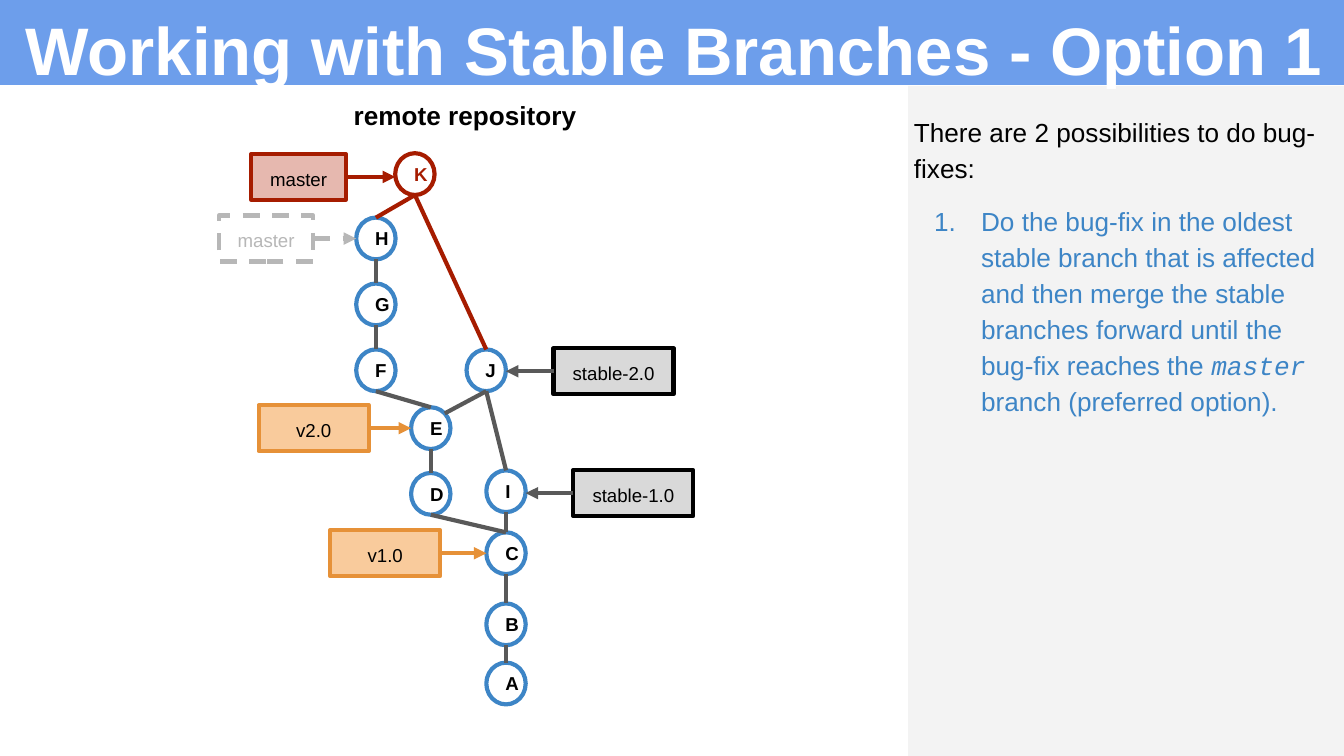
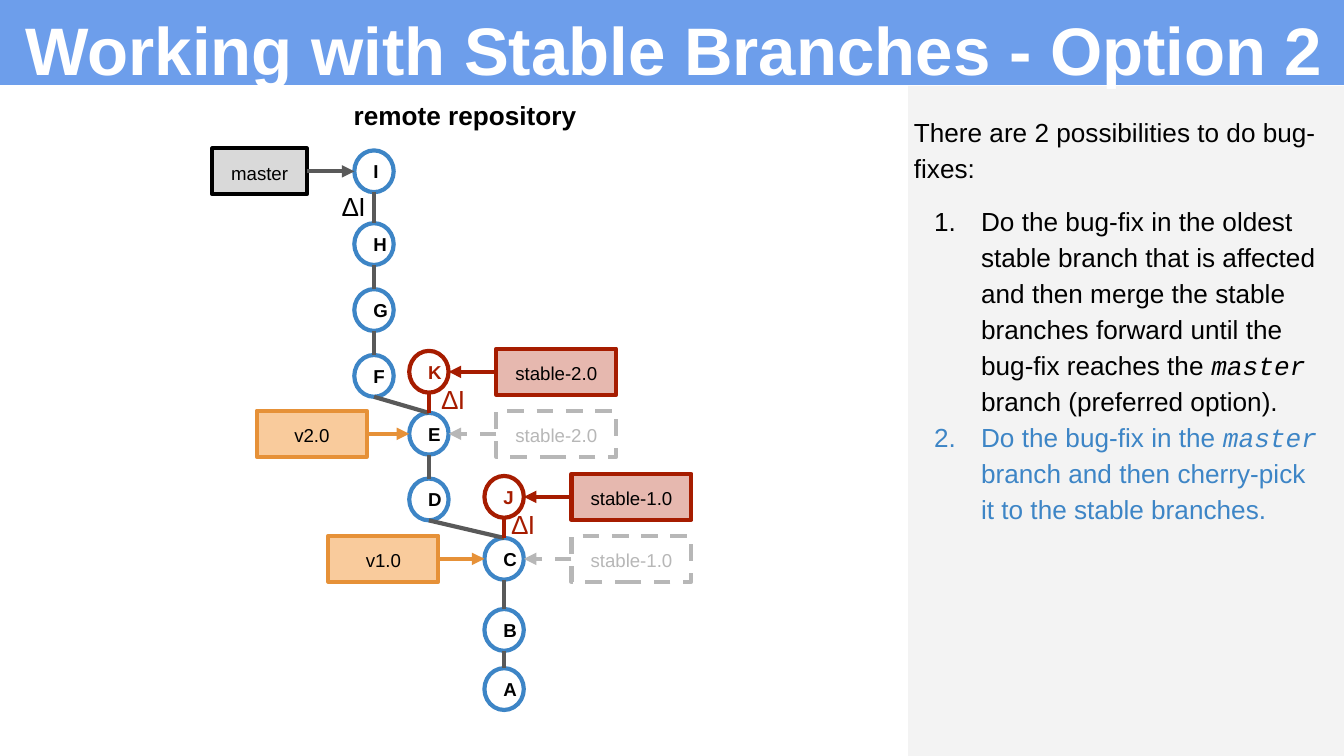
from dataclasses import dataclass
from math import sqrt

from lxml import etree
from pptx import Presentation
from pptx.dml.color import RGBColor
from pptx.enum.dml import MSO_LINE
from pptx.enum.shapes import MSO_CONNECTOR, MSO_SHAPE
from pptx.enum.text import MSO_ANCHOR, MSO_AUTO_SIZE, PP_ALIGN
from pptx.oxml.ns import qn
from pptx.util import Pt

RECTANGLE, OVAL = MSO_SHAPE.RECTANGLE, MSO_SHAPE.OVAL
STRAIGHT, DASH = MSO_CONNECTOR.STRAIGHT, MSO_LINE.DASH
TOP, MIDDLE, BOTTOM = MSO_ANCHOR.TOP, MSO_ANCHOR.MIDDLE, MSO_ANCHOR.BOTTOM
LEFT_ALIGN, CENTER = PP_ALIGN.LEFT, PP_ALIGN.CENTER
NO_FIT = MSO_AUTO_SIZE.NONE
TOP_SITE, LEFT_SITE, RIGHT_SITE = 0, 1, 3


@dataclass(frozen=True)
class Theme:
    font: str = "Arial"
    code_font: str = "Courier New"
    title_size: float = 36
    body_size: float = 14
    label_size: float = 10
    stroke: float = 2.25
    inset: float = 7.2
    line_spacing: float = 1.15
    space_before: float = 9
    band: str = "6D9EEB"
    panel: str = "F3F3F3"
    text: str = "000000"
    light: str = "FFFFFF"
    accent: str = "3D85C6"
    edge: str = "595959"
    change: str = "A61C00"


@dataclass(frozen=True)
class Box:
    left: float
    top: float
    width: float
    height: float


@dataclass(frozen=True)
class LabelStyle:
    fill: str | None
    line: str
    text: str
    arrow: str
    dashed: bool = False


@dataclass(frozen=True)
class Label:
    text: str
    node: str
    style: LabelStyle
    side: str
    width: float
    gap: float = 25.5
    drop: float = 0


THEME = Theme()
TAG = LabelStyle("F9CB9C", "E69138", THEME.text, "E69138")
BRANCH = LabelStyle("D9D9D9", "000000", THEME.text, THEME.edge)
MOVED = LabelStyle("E6B8AF", THEME.change, THEME.text, THEME.change)
FORMER = LabelStyle(None, "B7B7B7", "B7B7B7", "B7B7B7", True)

BAND = Box(0, 0, 720, 45.5)
PANEL = Box(486.5, 46, 233.5, 359)
GRAPH = Box(0, 46, 486.5, 359)
NODE_WIDTH, NODE_HEIGHT = 21.1, 22.4
LABEL_HEIGHT = 24.6
MAIN, MIDDLE_LINE, STABLE = 201.4, 230.8, 271.1
TAG_WIDTH, MASTER_WIDTH, STABLE_WIDTH = 59, 50.6, 64.3

TRUNK_NODES = {
    "A": (STABLE, 309), "B": (STABLE, 277.3), "C": (STABLE, 239.2),
    "D": (MIDDLE_LINE, 207.4), "E": (MIDDLE_LINE, 172.2),
    "F": (MAIN, 141.2), "G": (MAIN, 105.9), "H": (MAIN, 70.6),
}
TRUNK_EDGES = ["BA", "CB", "DC", "ED", "FE", "GF", "HG"]
TRUNK_LABELS = [
    Label("v1.0", "C", TAG, "left", TAG_WIDTH, 24.7),
    Label("v2.0", "E", TAG, "left", TAG_WIDTH, 22.7),
]

OLDEST_FIRST = [
    ("Do the bug-fix in the oldest stable branch that is affected and then merge "
     "the stable branches forward until the bug-fix reaches the ", False),
    ("master", True),
    (" branch (preferred option).", False),
]
CHERRY_PICK = [
    ("Do the bug-fix in the ", False),
    ("master", True),
    (" branch and then cherry-pick it to the stable branches.", False),
]


def rgb(value):
    return RGBColor.from_string(value)


def format_font(font, size, color, bold=False, name=THEME.font):
    font.name, font.size, font.bold = name, Pt(size), bold
    font.color.rgb = rgb(color)


def prepare_frame(text_frame, anchor):
    text_frame.word_wrap = True
    text_frame.auto_size = NO_FIT
    text_frame.vertical_anchor = anchor
    text_frame.margin_left = text_frame.margin_right = Pt(THEME.inset)
    text_frame.margin_top = text_frame.margin_bottom = Pt(THEME.inset)


def write(shape, text, size, color, bold=False, anchor=TOP, align=CENTER):
    prepare_frame(shape.text_frame, anchor)
    shape.text_frame.text = text
    paragraph = shape.text_frame.paragraphs[0]
    paragraph.alignment = align
    format_font(paragraph.runs[0].font, size, color, bold)


def place(shape, box):
    shape.left, shape.top = Pt(box.left), Pt(box.top)
    shape.width, shape.height = Pt(box.width), Pt(box.height)


def add_figure(slide, kind, box, fill=None, line=None, dashed=False):
    shape = slide.shapes.add_shape(
        kind, Pt(box.left), Pt(box.top), Pt(box.width), Pt(box.height))
    shape.shadow.inherit = False
    if fill:
        shape.fill.solid()
        shape.fill.fore_color.rgb = rgb(fill)
    else:
        shape.fill.background()
    if line:
        shape.line.color.rgb = rgb(line)
        shape.line.width = Pt(THEME.stroke)
        if dashed:
            shape.line.dash_style = DASH
    else:
        shape.line.fill.background()
    return shape


def add_text(slide, box, text, color, bold=False, align=LEFT_ALIGN):
    shape = slide.shapes.add_textbox(
        Pt(box.left), Pt(box.top), Pt(box.width), Pt(box.height))
    write(shape, text, THEME.body_size, color, bold, align=align)


def add_line(slide, start, end, color, dashed=False, arrow=False):
    connector = slide.shapes.add_connector(STRAIGHT, *map(Pt, start + end))
    connector.line.color.rgb = rgb(color)
    connector.line.width = Pt(THEME.stroke)
    if dashed:
        connector.line.dash_style = DASH
    properties = connector.element.spPr
    if arrow:
        etree.SubElement(properties.find(qn("a:ln")), qn("a:tailEnd"), type="triangle")
    etree.SubElement(properties, qn("a:effectLst"))
    return connector


def set_bullet(paragraph, color=None):
    properties = paragraph._p.get_or_add_pPr()
    properties.set("marL", str(Pt(36) if color else 0))
    properties.set("indent", str(Pt(-25.2) if color else 0))
    if color:
        bullet_color = etree.SubElement(properties, qn("a:buClr"))
        etree.SubElement(bullet_color, qn("a:srgbClr"), val=color)
        etree.SubElement(properties, qn("a:buFont"), typeface=THEME.font)
        etree.SubElement(properties, qn("a:buAutoNum"), type="arabicPeriod")
    else:
        etree.SubElement(properties, qn("a:buNone"))


def draw_header(slide, box, text):
    add_figure(slide, RECTANGLE, box, THEME.band)
    title = slide.shapes.title
    slide.shapes.element.append(title.element)
    place(title, Box(box.left + 6.5, box.top - 5, 715, 59.8))
    write(title, text, THEME.title_size, THEME.light, True, BOTTOM, LEFT_ALIGN)


def draw_options(slide, box, options):
    add_figure(slide, RECTANGLE, box, THEME.panel)
    body = slide.placeholders[1]
    slide.shapes.element.append(body.element)
    place(body, Box(box.left - 4.1, box.top + 6.6, 233.3, 317.5))
    frame = body.text_frame
    prepare_frame(frame, TOP)
    frame.text = "There are 2 possibilities to do bug-fixes:"
    intro = frame.paragraphs[0]
    set_bullet(intro)
    format_font(intro.runs[0].font, THEME.body_size, THEME.text)
    for number, option in enumerate(options, 1):
        paragraph = frame.add_paragraph()
        color = THEME.accent if number == len(options) else THEME.text
        set_bullet(paragraph, color)
        for text, is_code in option:
            run = paragraph.add_run()
            run.text = text
            name = THEME.code_font if is_code else THEME.font
            format_font(run.font, THEME.body_size, color, name=name)
            run.font.italic = is_code
    for index, paragraph in enumerate(frame.paragraphs):
        paragraph.alignment = LEFT_ALIGN
        paragraph.line_spacing = THEME.line_spacing
        paragraph.space_before = Pt(THEME.space_before if index == 1 else 0)


def draw_label(slide, label, node):
    x, y = node
    direction = -1 if label.side == "left" else 1
    near = x + direction * NODE_WIDTH / 2
    start = near + direction * label.gap
    left = start - label.width if direction < 0 else start
    middle = y + NODE_HEIGHT / 2 + label.drop
    style = label.style
    box = Box(left, middle - LABEL_HEIGHT / 2, label.width, LABEL_HEIGHT)
    shape = add_figure(slide, RECTANGLE, box, style.fill, style.line, style.dashed)
    write(shape, label.text, THEME.label_size, style.text)
    arrow = add_line(slide, (start, middle), (near, middle), style.arrow, style.dashed, True)
    arrow.begin_connect(shape, RIGHT_SITE if direction < 0 else LEFT_SITE)


def draw_graph(slide, box, extra_nodes, extra_edges, extra_labels,
               changed, side_edges=(), deltas=(), shift=(0, 0)):
    add_text(slide, Box(box.left + 175, box.top, 148.3, 36),
             "remote repository", THEME.text, True, CENTER)
    left, top = box.left + shift[0], box.top + shift[1]
    nodes = {name: (left + x, top + y)
             for name, (x, y) in {**TRUNK_NODES, **extra_nodes}.items()}
    ovals = {}
    for name, (x, y) in nodes.items():
        marked = name in changed
        oval_box = Box(x - NODE_WIDTH / 2, y, NODE_WIDTH, NODE_HEIGHT)
        ovals[name] = add_figure(slide, OVAL, oval_box,
                                 line=THEME.change if marked else THEME.accent)
        write(ovals[name], name, THEME.label_size,
              THEME.change if marked else THEME.text, True, MIDDLE)
    for upper, lower in TRUNK_EDGES + extra_edges:
        x, y = nodes[upper]
        color = THEME.change if upper in changed else THEME.edge
        edge = add_line(slide, (x, y + NODE_HEIGHT), nodes[lower], color)
        edge.end_connect(ovals[lower], TOP_SITE)
    for upper, lower in side_edges:
        (x, y), (lower_x, lower_y) = nodes[upper], nodes[lower]
        corner = (lower_x + NODE_WIDTH / 2 / sqrt(2),
                  lower_y + NODE_HEIGHT / 2 * (1 - 1 / sqrt(2)))
        add_line(slide, (x, y + NODE_HEIGHT), corner, THEME.edge)
    for label in TRUNK_LABELS + extra_labels:
        draw_label(slide, label, nodes[label.node])
    for x, y, color in deltas:
        add_text(slide, Box(left + x, top + y, 38.9, 27.4), "∆I", color)


def add_option_slide(presentation, title, options, **graph):
    slide = presentation.slides.add_slide(presentation.slide_layouts[1])
    draw_options(slide, PANEL, options)
    draw_graph(slide, GRAPH, **graph)
    draw_header(slide, BAND, title)


def main():
    presentation = Presentation()
    presentation.slide_width, presentation.slide_height = Pt(720), Pt(405)
    add_option_slide(
        presentation, "Working with Stable Branches - Option 1", [OLDEST_FIRST],
        extra_nodes={"I": (STABLE, 206), "J": (260.5, 141.2), "K": (222.3, 36.1)},
        extra_edges=["IC", "JI", "KH", "KJ"],
        side_edges=["JE"],
        changed="K",
        extra_labels=[
            Label("master", "H", FORMER, "left", MASTER_WIDTH, 23),
            Label("master", "K", MOVED, "left", MASTER_WIDTH, 26.5, 1.5),
            Label("stable-2.0", "J", BRANCH, "right", STABLE_WIDTH, drop=0.5),
            Label("stable-1.0", "I", BRANCH, "right", STABLE_WIDTH, drop=1),
        ])
    add_option_slide(
        presentation, "Working with Stable Branches - Option 2",
        [OLDEST_FIRST, CHERRY_PICK],
        extra_nodes={"I": (MAIN, 31.6), "J": (STABLE, 206), "K": (MIDDLE_LINE, 139)},
        extra_edges=["IH", "JC", "KE"],
        changed="JK",
        extra_labels=[
            Label("master", "I", BRANCH, "left", MASTER_WIDTH),
            Label("stable-1.0", "C", FORMER, "right", STABLE_WIDTH),
            Label("stable-2.0", "E", FORMER, "right", STABLE_WIDTH),
            Label("stable-1.0", "J", MOVED, "right", STABLE_WIDTH),
            Label("stable-2.0", "K", MOVED, "right", STABLE_WIDTH),
        ],
        deltas=[(177.4, 46, THEME.text), (230.7, 149, THEME.change),
                (268.1, 216, THEME.change)],
        shift=(-1, 3))
    presentation.save("out.pptx")


if __name__ == "__main__":
    main()
